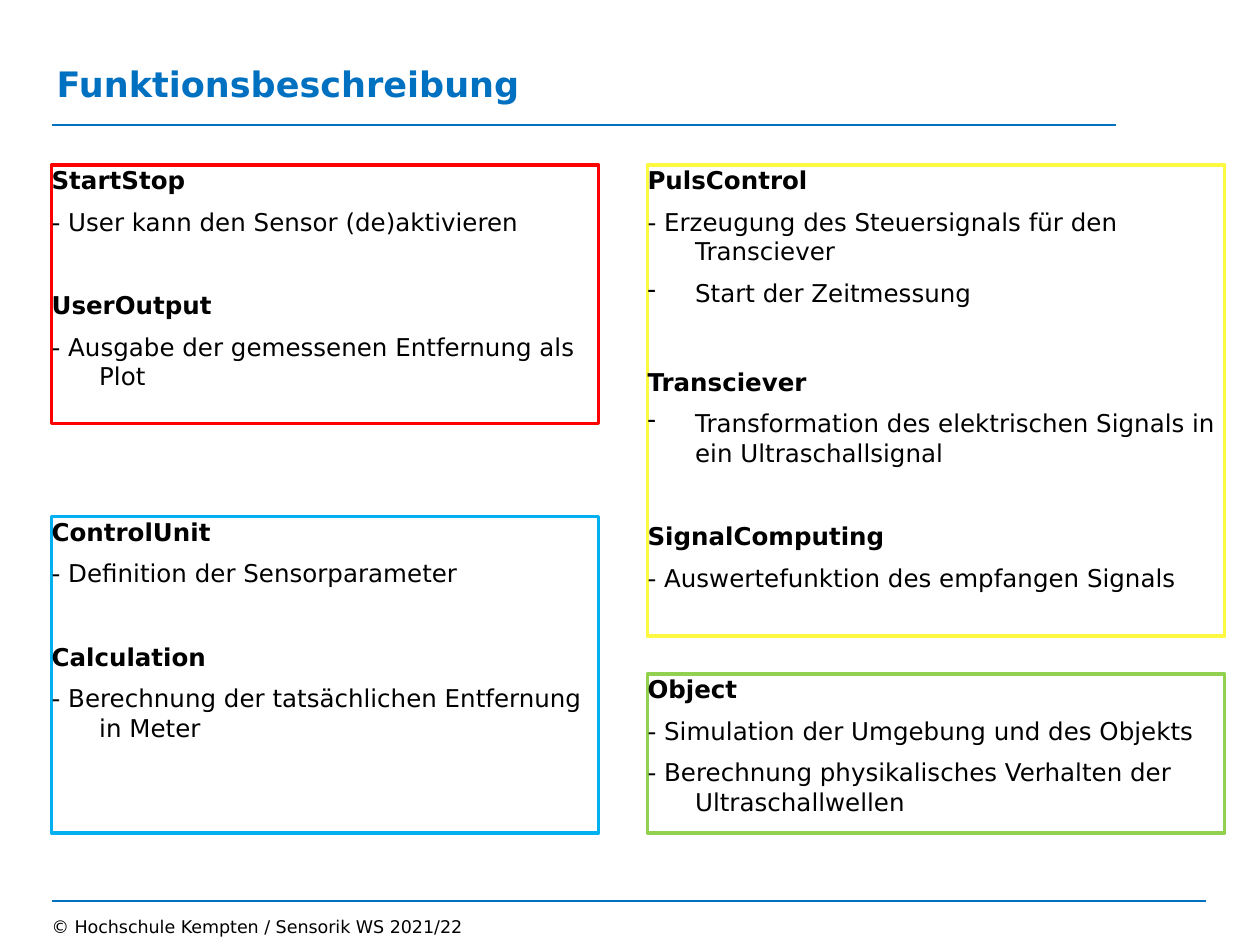
from lxml import etree
from pptx import Presentation
from pptx import util as u
from pptx.dml.color import RGBColor
from pptx.enum import shapes, text
from pptx.oxml.ns import qn

COLORS = {
    "blue": "0070C0", "black": "000000", "white": "FFFFFF", "red": "FF0000",
    "cyan": "00B0F0", "yellow": "FDF941", "green": "92D050",
}
LEFT, RIGHT = 29.5, 370
LEFT_W, RIGHT_W = 312.5, 329.8
TOP, BOTTOM = 94.3, 475.9
INDENT = 27.2
GAP = 7
SECTION_GAP = 30.8
WIDE_SECTION_GAP = 34

BOXES = [
    (LEFT, TOP, LEFT_W, 241.9, "red", None, [
        ("StartStop", 0, ["- User kann den Sensor (de)aktivieren"], []),
        ("UserOutput", SECTION_GAP,
         ["- Ausgabe der gemessenen Entfernung als Plot"], []),
    ]),
    (LEFT, 295.2, LEFT_W, BOTTOM, "cyan", "white", [
        ("ControlUnit", 0, ["- Definition der Sensorparameter"], []),
        ("Calculation", SECTION_GAP,
         ["- Berechnung der tatsächlichen Entfernung in Meter"], []),
    ]),
    (RIGHT, TOP, RIGHT_W, 363.6, "yellow", "white", [
        ("PulsControl", 0,
         ["- Erzeugung des Steuersignals für den Transciever"],
         ["Start der Zeitmessung"]),
        ("Transciever", WIDE_SECTION_GAP, [],
         ["Transformation des elektrischen Signals in ein Ultraschallsignal"]),
        ("SignalComputing", SECTION_GAP,
         ["- Auswertefunktion des empfangen Signals"], []),
    ]),
    (RIGHT, 385.2, RIGHT_W, BOTTOM, "green", "white", [
        ("Object", 0,
         ["- Simulation der Umgebung und des Objekts",
          "- Berechnung physikalisches Verhalten der Ultraschallwellen"], []),
    ]),
]


def rgb(name):
    return RGBColor.from_string(COLORS[name])


def write(p, content, size=14, color="black", bold=False, before=0,
          hanging=False, bullet=None):
    r = p.add_run()
    r.text = content
    r.font.name = "DejaVu Sans"
    r.font.size = u.Pt(size)
    r.font.bold = bold
    r.font.color.rgb = rgb(color)
    p.alignment = text.PP_ALIGN.LEFT
    p.space_before = u.Pt(before)
    pPr = p._p.get_or_add_pPr()
    if hanging:
        pPr.set("marL", str(u.Pt(INDENT)))
        pPr.set("indent", str(-u.Pt(INDENT)))
    if bullet:
        etree.SubElement(pPr, qn("a:buChar")).set("char", bullet)
    else:
        etree.SubElement(pPr, qn("a:buNone"))


class Deck:
    def __init__(self, prs):
        self.slide = prs.slides.add_slide(prs.slide_layouts[6])

    def frame(self, sp, anchor):
        tf = sp.text_frame
        tf.word_wrap = True
        tf.vertical_anchor = anchor
        tf.margin_left = tf.margin_right = tf.margin_top = tf.margin_bottom = 0
        return tf

    def rule(self, x1, x2, y):
        sp = self.slide.shapes.add_connector(
            shapes.MSO_CONNECTOR.STRAIGHT, u.Pt(x1), u.Pt(y), u.Pt(x2), u.Pt(y))
        sp.line.color.rgb = rgb("blue")
        sp.line.width = u.Pt(1)
        etree.SubElement(sp._element.spPr, qn("a:effectLst"))

    def label(self, x, y, w, h, content, **style):
        sp = self.slide.shapes.add_textbox(u.Pt(x), u.Pt(y), u.Pt(w), u.Pt(h))
        tf = self.frame(sp, text.MSO_ANCHOR.BOTTOM)
        write(tf.paragraphs[0], content, **style)

    def box(self, x, top, w, bottom, line, fill, sections):
        sp = self.slide.shapes.add_shape(
            shapes.MSO_SHAPE.RECTANGLE, u.Pt(x), u.Pt(top), u.Pt(w),
            u.Pt(bottom - top))
        sp.shadow.inherit = False
        sp.line.color.rgb = rgb(line)
        sp.line.width = u.Pt(2)
        if fill:
            sp.fill.solid()
            sp.fill.fore_color.rgb = rgb(fill)
        else:
            sp.fill.background()
        tf = self.frame(sp, text.MSO_ANCHOR.TOP)
        for i, (heading, before, items, bullets) in enumerate(sections):
            p = tf.add_paragraph() if i else tf.paragraphs[0]
            write(p, heading, bold=True, before=before, hanging=True)
            for item in items:
                write(tf.add_paragraph(), item, before=GAP, hanging=True)
            for item in bullets:
                write(tf.add_paragraph(), item, before=GAP, hanging=True,
                      bullet="-")


def main():
    prs = Presentation()
    prs.slide_width, prs.slide_height = u.Pt(720), u.Pt(540)
    deck = Deck(prs)
    deck.rule(LEFT, 638, 71.3)
    deck.rule(LEFT, 689, 514.8)
    deck.label(32.4, 22.3, 416.9, 37.4, "Funktionsbeschreibung",
               size=20, color="blue", bold=True)
    deck.label(LEFT, 515.5, 566.6, 20.2,
               "© Hochschule Kempten / Sensorik WS 2021/22", size=10)
    for box in BOXES:
        deck.box(*box)
    prs.save("out.pptx")


if __name__ == "__main__":
    main()
